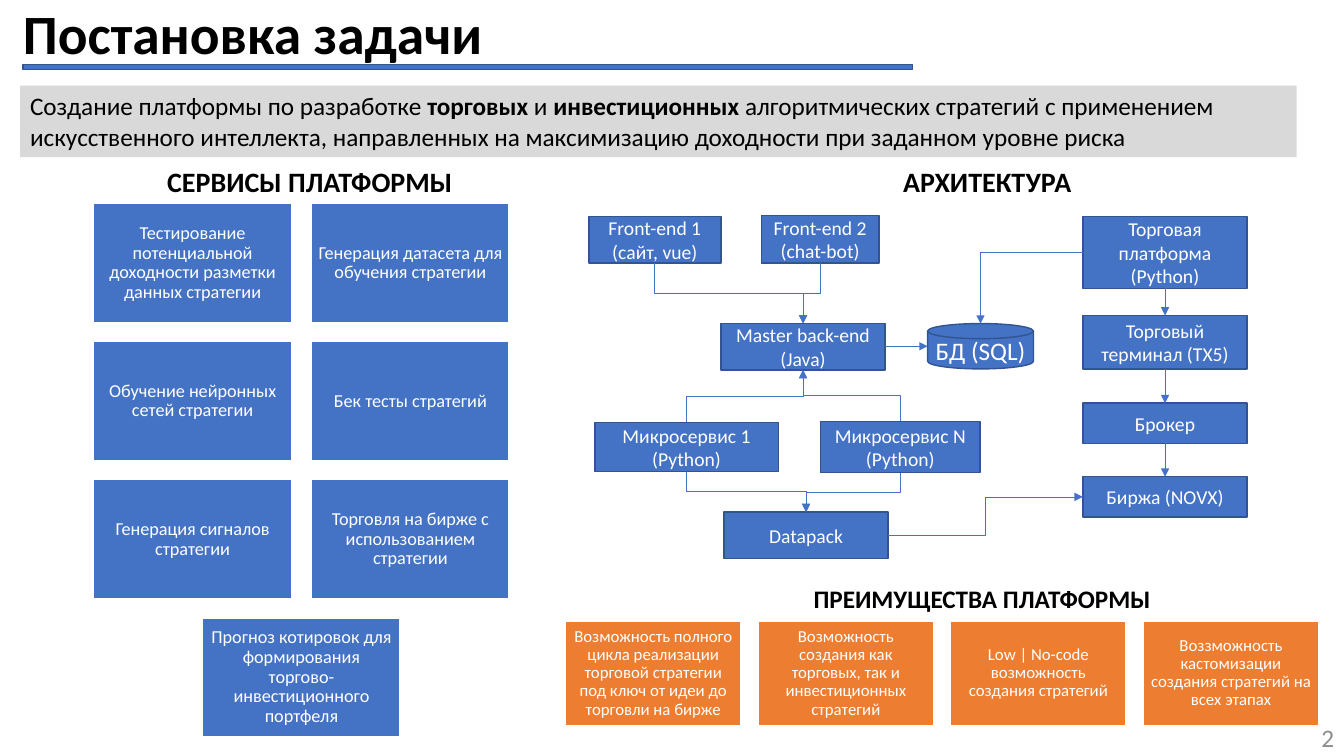
from lxml import etree
from pptx import Presentation
from pptx.dml.color import RGBColor
from pptx.enum.shapes import MSO_CONNECTOR as Conn, MSO_SHAPE as Geo
from pptx.enum.text import MSO_ANCHOR as Anchor, MSO_AUTO_SIZE as Auto, PP_ALIGN as Align
from pptx.oxml.ns import qn
from pptx.util import Inches, Pt

# Content
BLUE, EDGE, ORANGE, WHITE, BLACK = "4472C4", "325491", "ED7D31", "FFFFFF", "000000"
TITLE = "Постановка задачи"
GOAL = [
    ("Создание платформы по разработке ", False),
    ("торговых", True),
    (" и ", False),
    ("инвестиционных", True),
    (" алгоритмических стратегий с применением искусственного интеллекта, "
     "направленных на максимизацию доходности при заданном уровне риска", False),
]
HEADS = [
    ("СЕРВИСЫ ПЛАТФОРМЫ", (1.56, 1.58, 3.06, 0.44), 20),
    ("ПРЕИМУЩЕСТВА ПЛАТФОРМЫ", (7.97, 5.74, 3.58, 0.4), 18),
    ("АРХИТЕКТУРА", (8.86, 1.58, 1.88, 0.44), 20),
]
SERVICES = [
    "Тестирование потенциальной доходности разметки данных стратегии",
    "Генерация датасета для обучения стратегии",
    "Обучение нейронных сетей стратегии",
    "Бек тесты стратегий",
    "Генерация сигналов стратегии",
    "Торговля на бирже с использованием стратегии",
    "Прогноз котировок для формирования торгово-инвестиционного портфеля",
]
BENEFITS = [
    "Возможность полного цикла реализации торговой стратегии под ключ "
    "от идеи до торговли на бирже",
    "Возможность создания как торговых, так и инвестиционных стратегий",
    "Low | No-code возможность создания стратегий",
    "Воззможность кастомизации создания стратегий на всех этапах",
]
NODES = {
    "front1": ("Front-end 1 (сайт, vue)", (5.84, 2.15, 1.31, 0.46)),
    "front2": ("Front-end 2 (chat-bot)", (7.55, 2.14, 1.17, 0.47)),
    "master": ("Master back-end (Java)", (7.15, 3.21, 1.63, 0.46)),
    "micro1": ("Микросервис 1 (Python)", (5.9, 4.19, 1.82, 0.49)),
    "microN": ("Микросервис N (Python)", (8.14, 4.18, 1.58, 0.51)),
    "base": ("БД (SQL)", (9.2, 3.21, 1.05, 0.45)),
    "data": ("Datapack", (7.18, 5.08, 1.63, 0.46)),
    "trade": ("Торговая платформа (Python)", (10.74, 2.15, 1.63, 0.71)),
    "term": ("Торговый терминал (TX5)", (10.74, 3.13, 1.63, 0.53)),
    "broker": ("Брокер", (10.74, 4, 1.63, 0.4)),
    "market": ("Биржа (NOVX)", (10.74, 4.73, 1.63, 0.4)),
}
# Sides: t top, b bottom, l left, r right
LINKS = [
    ("front1", "b", "master", "t"),
    ("front2", "b", "master", "t"),
    ("master", "r", "base", "l"),
    ("micro1", "t", "master", "b"),
    ("microN", "t", "master", "b"),
    ("micro1", "b", "data", "t"),
    ("microN", "b", "data", "t"),
    ("trade", "l", "base", "t"),
    ("trade", "b", "term", "t"),
    ("term", "b", "broker", "t"),
    ("broker", "b", "market", "t"),
    ("data", "r", "market", "l"),
]
SIDES = {"t": (0.5, 0), "b": (0.5, 1), "l": (0, 0.5), "r": (1, 0.5)}

# Formats
MID = dict(vertical_anchor=Anchor.MIDDLE)
TOP = dict(vertical_anchor=Anchor.TOP)
CARD = dict(MID, margin_left=Inches(0.06), margin_right=Inches(0.06),
            margin_top=Inches(0.05), margin_bottom=Inches(0.05))
DISK = dict(MID, margin_left=Inches(0.02), margin_right=Inches(0.02))
HEAD = dict(word_wrap=False, auto_size=Auto.SHAPE_TO_FIT_TEXT)

prs = Presentation()
prs.slide_width, prs.slide_height = Inches(13.33), Inches(7.5)
slide = prs.slides.add_slide(prs.slide_layouts[6])


def color(target, code):
    target.rgb = RGBColor.from_string(code)


def write(shape, runs, size, code, frame, para):
    tf = shape.text_frame
    for key, val in {"word_wrap": True, **frame}.items():
        setattr(tf, key, val)
    p = tf.paragraphs[0]
    for key, val in para.items():
        setattr(p, key, val)
    for words, bold in runs:
        run = p.add_run()
        run.text = words
        for key, val in dict(name="Calibri", size=Pt(size), bold=bold).items():
            setattr(run.font, key, val)
        color(run.font.color, code)


def block(at, fill, edge=None, geo=Geo.RECTANGLE):
    shape = slide.shapes.add_shape(geo, *map(Inches, at))
    shape.shadow.inherit = False
    shape.fill.solid()
    color(shape.fill.fore_color, fill)
    if edge:
        color(shape.line.color, edge)
        shape.line.width = Pt(1)
    else:
        shape.line.fill.background()
    return shape


def label(at, words, size, code, bold, frame, **para):
    box = slide.shapes.add_textbox(*map(Inches, at))
    write(box, [(words, bold)], size, code, frame, para)


def card(at, words, size, fill):
    write(block(at, fill, WHITE), [(words, False)], size, WHITE, CARD,
          dict(alignment=Align.CENTER, line_spacing=0.9))


def port(name, side):
    x, y, w, h = NODES[name][1]
    fx, fy = SIDES[side]
    return x + w * fx, y + h * fy


def link(start, out, end, into):
    (x1, y1), (x2, y2) = port(start, out), port(end, into)
    u, v, turn = x2 - x1, y2 - y1, 0
    if out in "tb":  # a line that leaves vertically is a turned elbow
        turn = 90 if v > 0 else 270
        u, v = abs(v), (-u if v > 0 else u)
    mx, my = (x1 + x2) / 2, (y1 + y2) / 2
    line = slide.shapes.add_connector(
        Conn.ELBOW, *map(Inches, (mx - u / 2, my - v / 2, mx + u / 2, my + v / 2)))
    color(line.line.color, BLUE)
    line.line.width = Pt(0.5)
    props = line._element.spPr
    if turn:
        props.find(qn("a:xfrm")).set("rot", str(turn * 60000))
    if (out in "lr") != (into in "lr"):
        props.find(qn("a:prstGeom")).set("prst", "bentConnector2")
    etree.SubElement(props.find(qn("a:ln")), qn("a:tailEnd"), type="triangle")
    etree.SubElement(props, qn("a:effectLst"))


# Title, goal and headings
label((0.13, 0.09, 8.24, 0.54), TITLE, 39.6, BLACK, True, MID, line_spacing=0.9)
block((0.23, 0.64, 8.82, 0.05), BLUE, EDGE)
write(block((0.2, 0.85, 12.66, 0.71), "D9D9D9"), GOAL, 18, BLACK, TOP,
      dict(alignment=Align.LEFT))
for words, at, size in HEADS:
    label(at, words, size, BLACK, True, HEAD)

# Services: two columns, the last card centred
for i, words in enumerate(SERVICES):
    row, col = divmod(i, 2)
    if i == len(SERVICES) - 1:
        col = 0.5
    card((0.93 + 2.16 * col, 2.02 + 1.37 * row, 1.96, 1.18), words, 13, BLUE)

# Benefits: one row
for i, words in enumerate(BENEFITS):
    card((5.61 + 1.91 * i, 6.16, 1.74, 1.04), words, 12, ORANGE)

# Architecture
for name, (words, at) in NODES.items():
    geo, size, frame = Geo.RECTANGLE, 14, MID
    if name == "base":
        geo, size, frame = Geo.FLOWCHART_MAGNETIC_DISK, 18, DISK
    write(block(at, BLUE, EDGE, geo), [(words, False)], size, WHITE, frame,
          dict(alignment=Align.CENTER))
for ends in LINKS:
    link(*ends)

# Page number
label((10.33, 7.12, 3, 0.4), "2", 18, "8C8C8C", False, MID, alignment=Align.RIGHT)

prs.save("out.pptx")
